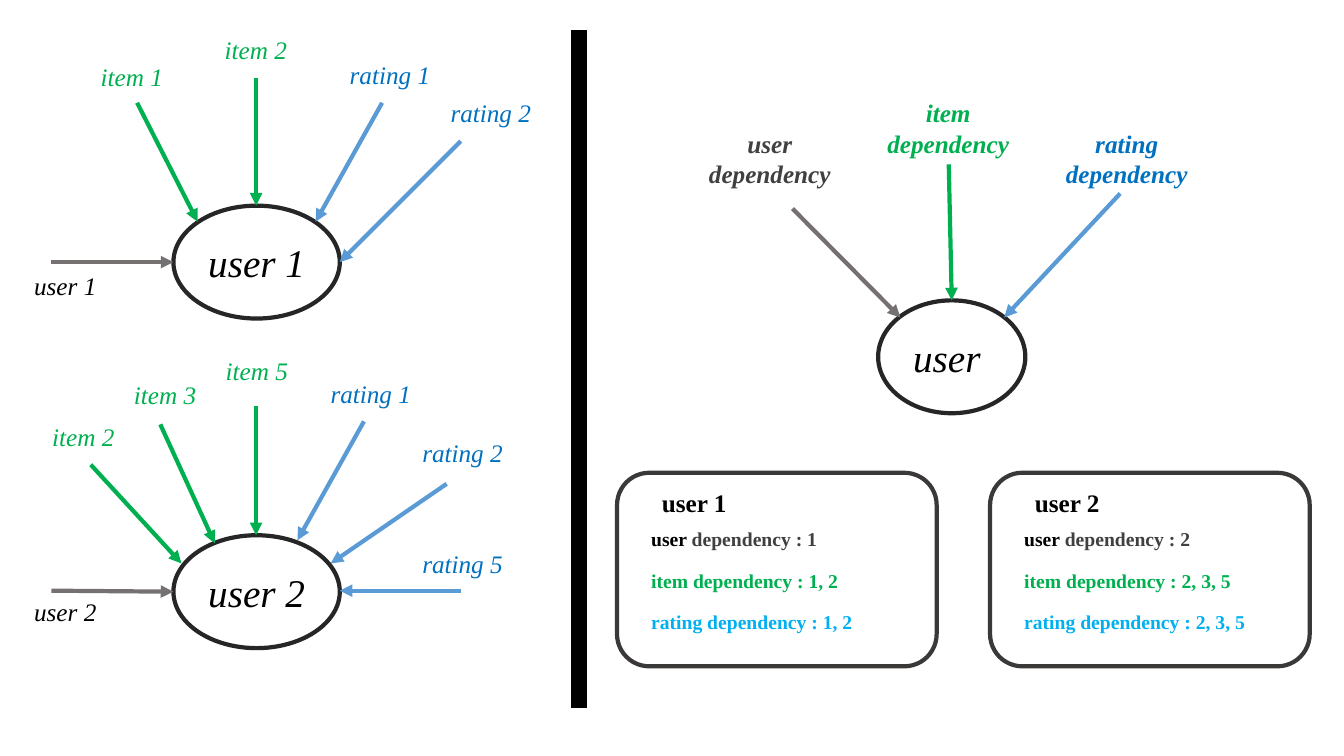
import pptx
import pptx.util
import pptx.dml.color
import pptx.enum.shapes
import pptx.enum.text
import pptx.oxml.ns
import lxml.etree

Inches = pptx.util.Inches
Pt = pptx.util.Pt
rgb = pptx.dml.color.RGBColor.from_string
qn = pptx.oxml.ns.qn
SHAPE = pptx.enum.shapes.MSO_SHAPE
ALIGN = pptx.enum.text.PP_ALIGN

BLACK, GREY, GREEN, BLUE = "000000", "404040", "00B050", "0070C0"
ARROW_COLORS = {"user": "767171", "item": GREEN, "rating": "5B9BD5"}
LABEL_COLORS = {"user": BLACK, "item": GREEN, "rating": BLUE}

prs = pptx.Presentation()
prs.slide_width, prs.slide_height = Inches(13.33), Inches(7.5)
s = prs.slides.add_slide(prs.slide_layouts[6])


def write(sp, text, size=18, color=BLACK, bold=False, italic=False, align=ALIGN.LEFT):
    """Append text to the last paragraph of a shape; each newline starts a paragraph."""
    tf = sp.text_frame
    tf.word_wrap = True
    for i, line in enumerate(text.split("\n")):
        p = tf.add_paragraph() if i else tf.paragraphs[-1]
        p.alignment = align
        r = p.add_run()
        r.text = line
        r.font.name, r.font.size = "Times New Roman", Pt(size)
        r.font.bold, r.font.italic = bold, italic
        r.font.color.rgb = rgb(color)


def add_outlined(kind, x, y, w, h, line, width, fill=None):
    sp = s.shapes.add_shape(kind, Inches(x), Inches(y), Inches(w), Inches(h))
    sp.shadow.inherit = False
    sp.line.color.rgb = rgb(line)
    sp.line.width = Pt(width)
    if fill:
        sp.fill.solid()
        sp.fill.fore_color.rgb = rgb(fill)
    else:
        sp.fill.background()
    return sp


# User nodes
for text, x, y, w in [("user 1", 1.72, 2.04, 1.65),
                      ("user 2", 1.72, 5.31, 1.65),
                      ("user ", 8.71, 2.98, 1.46)]:
    sp = add_outlined(SHAPE.OVAL, x, y, w, 1.12, "262626", 3, "FFFFFF")
    sp.text_frame.vertical_anchor = pptx.enum.text.MSO_ANCHOR.MIDDLE
    write(sp, text, size=28, italic=True, align=ALIGN.CENTER)

# Arrows into the nodes
arrows = [
    ("user", 0.51, 2.6, 1.72, 2.6),
    ("item", 1.36, 1.02, 1.96, 2.2),
    ("item", 2.54, 0.77, 2.54, 2.04),
    ("rating", 3.79, 1.02, 3.13, 2.2),
    ("rating", 4.57, 1.4, 3.37, 2.6),
    ("user", 0.51, 5.86, 1.72, 5.87),
    ("item", 0.9, 4.61, 1.8, 5.59),
    ("item", 1.59, 4.21, 2.13, 5.39),
    ("item", 2.54, 4.03, 2.54, 5.31),
    ("rating", 3.61, 4.18, 2.95, 5.36),
    ("rating", 4.43, 4.8, 3.28, 5.59),
    ("rating", 4.57, 5.86, 3.37, 5.86),
    ("user", 7.86, 2.07, 8.93, 3.15),
    ("item", 9.41, 1.63, 9.44, 2.98),
    ("rating", 11.11, 1.92, 9.96, 3.15),
]
for kind, *ends in arrows:
    c = s.shapes.add_connector(pptx.enum.shapes.MSO_CONNECTOR.STRAIGHT,
                               *[Inches(v) for v in ends])
    c.line.color.rgb = rgb(ARROW_COLORS[kind])
    c.line.width = Pt(3)
    lxml.etree.SubElement(c.line._get_or_add_ln(), qn("a:tailEnd"), type="triangle")
    lxml.etree.SubElement(c._element.spPr, qn("a:effectLst"))

# Arrow labels on the left
labels = [
    ("user 1", 0.24, 2.63), ("item 1", 0.9, 0.56), ("item 2", 2.13, 0.29),
    ("rating 1", 3.37, 0.54), ("rating 2", 4.37, 0.92),
    ("user 2", 0.24, 5.87), ("item 2", 0.42, 4.13), ("item 3", 1.23, 3.71),
    ("item 5", 2.14, 3.48), ("rating 1", 3.18, 3.7), ("rating 2", 4.09, 4.29),
    ("rating 5", 4.09, 5.39),
]
for text, x, y in labels:
    sp = s.shapes.add_textbox(Inches(x), Inches(y), Inches(1.13), Inches(0.4))
    write(sp, text, color=LABEL_COLORS[text.split()[0]], italic=True)

# Dependency labels on the right
for kind, x, y, color in [("user", 6.89, 1.22, GREY),
                          ("item", 8.66, 0.92, GREEN),
                          ("rating", 10.43, 1.22, BLUE)]:
    sp = s.shapes.add_textbox(Inches(x), Inches(y), Inches(1.49), Inches(0.71))
    write(sp, f"{kind}\ndependency", color=color, bold=True, italic=True, align=ALIGN.CENTER)

add_outlined(SHAPE.RECTANGLE, 5.66, 0.29, 0.17, 6.74, "FFFFFF", 1, BLACK)

# Summary cards
for x, user, ids in [(6.12, "1", "1, 2"), (9.82, "2", "2, 3, 5")]:
    add_outlined(SHAPE.ROUNDED_RECTANGLE, x, 4.69, 3.17, 1.92, "3B3838", 3)
    text_x = x + 0.24
    sp = s.shapes.add_textbox(Inches(text_x), Inches(4.79), Inches(1.05), Inches(0.4))
    write(sp, f"user {user}", bold=True, align=ALIGN.CENTER)
    rows = [
        [("user ", BLACK), (f"dependency : {user}", GREY)],
        [(f"item dependency : {ids}", GREEN)],
        [(f"rating dependency : {ids}", "00B0F0")],
    ]
    for i, row in enumerate(rows):
        sp = s.shapes.add_textbox(Inches(text_x), Inches(5.18 + 0.41 * i),
                                  Inches(2.94), Inches(0.34))
        for text, color in row:
            write(sp, text, size=14, color=color, bold=True)

prs.save("out.pptx")
